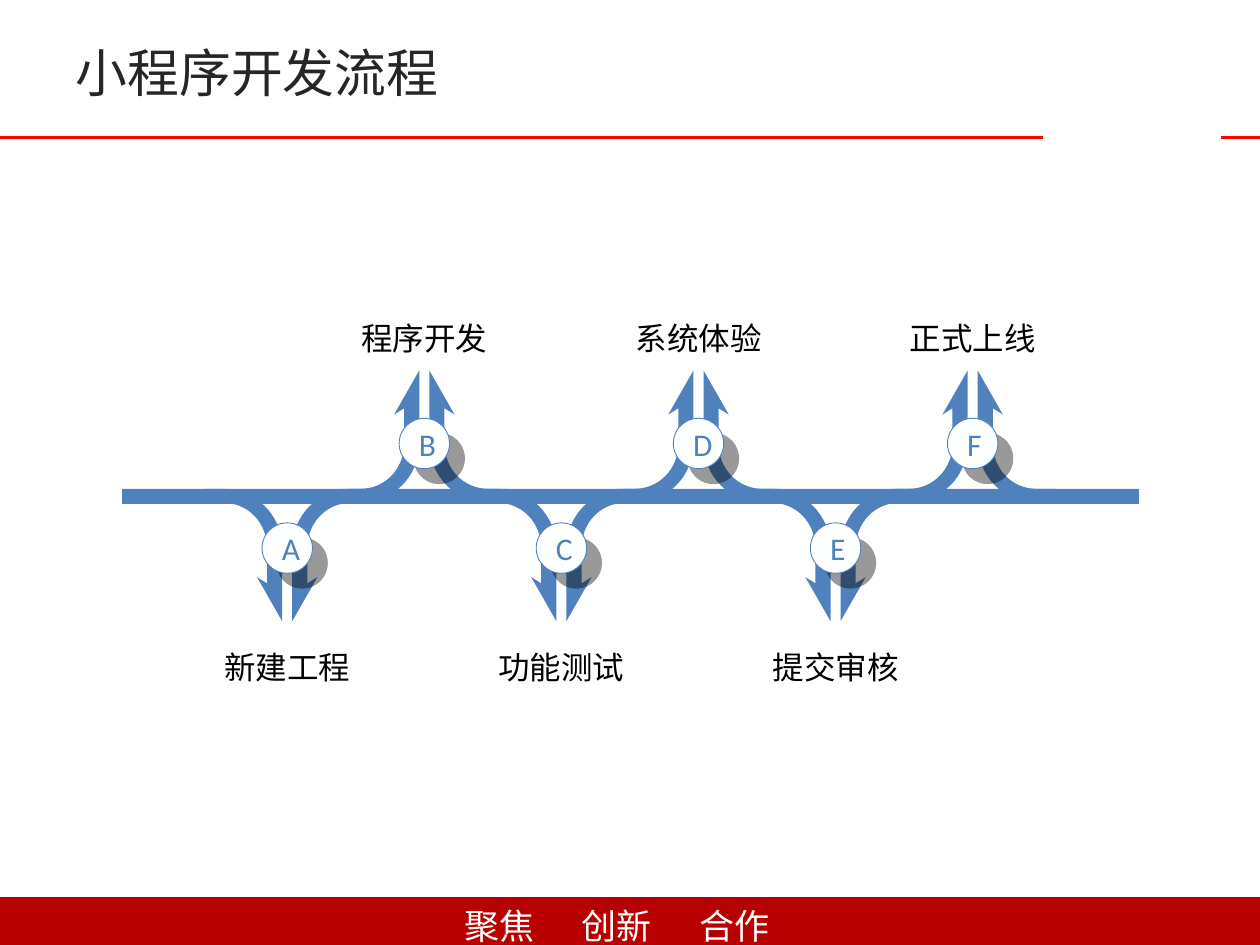
from dataclasses import dataclass

from lxml.etree import SubElement
from pptx import Presentation
from pptx.dml.color import RGBColor
from pptx.enum.shapes import MSO_CONNECTOR, MSO_SHAPE
from pptx.enum.text import MSO_ANCHOR, MSO_AUTO_SIZE, PP_ALIGN
from pptx.oxml.ns import qn
from pptx.util import Inches, Pt


@dataclass(frozen=True)
class Theme:
    blue: RGBColor = RGBColor(0x4F, 0x81, 0xBD)
    circle: RGBColor = RGBColor(0xFE, 0xFF, 0xFF)
    rule: RGBColor = RGBColor(0xFF, 0x00, 0x00)
    footer: RGBColor = RGBColor(0xB8, 0x00, 0x00)
    title: RGBColor = RGBColor(0x26, 0x26, 0x26)
    black: RGBColor = RGBColor(0x00, 0x00, 0x00)
    white: RGBColor = RGBColor(0xFF, 0xFF, 0xFF)
    chinese_font: str = "Noto Sans CJK SC"
    letter_font: str = "Calibri"
    label_font: str = "Arial"
    title_size: float = 29.6
    footer_size: float = 20
    step_size: float = 18


THEME = Theme()
STEPS = ["新建工程", "程序开发", "功能测试", "系统体验", "提交审核", "正式上线"]
FIRST_CENTER, LAST_CENTER = 2.28, 7.72
STEP_GAP = (LAST_CENTER - FIRST_CENTER) / (len(STEPS) - 1)
UP_TIP, DOWN_TIP = 2.94, 4.93
CIRCLE_SIZE = 0.4
LABEL_WIDTH, LABEL_HEIGHT = 1.98, 1.1


def box(left, top, width, height):
    return Inches(left), Inches(top), Inches(width), Inches(height)


def write_text(shape, text, font_name, size, color, align=PP_ALIGN.LEFT,
               anchor=MSO_ANCHOR.TOP, spacing=None, tabs=()):
    frame = shape.text_frame
    frame.word_wrap = True
    frame.auto_size = MSO_AUTO_SIZE.NONE
    frame.vertical_anchor = anchor
    frame.text = text
    paragraph = frame.paragraphs[0]
    paragraph.alignment = align
    if spacing:
        paragraph.line_spacing = spacing
    if tabs:
        tab_list = SubElement(paragraph._p.get_or_add_pPr(), qn("a:tabLst"))
        for position in tabs:
            SubElement(tab_list, qn("a:tab"), pos=str(Inches(position)), algn="l")
    for run in paragraph.runs:
        run.font.name = font_name
        run.font.size = Pt(size)
        run.font.color.rgb = color
        SubElement(run._r.get_or_add_rPr(), qn("a:ea"), typeface=font_name)


def fill_plain(shape, color):
    shape.shadow.inherit = False
    shape.fill.solid()
    shape.fill.fore_color.rgb = color
    shape.line.fill.background()


def add_bar(slide, left, top, width, height, color):
    bar = slide.shapes.add_shape(MSO_SHAPE.RECTANGLE, *box(left, top, width, height))
    fill_plain(bar, color)


def add_rule(slide, start, end):
    rule = slide.shapes.add_connector(
        MSO_CONNECTOR.STRAIGHT, Inches(start), Inches(1.09), Inches(end), Inches(1.09))
    rule.line.color.rgb = THEME.rule
    rule.line.width = Pt(1.5)
    SubElement(rule._element.spPr, qn("a:effectLst"))


def curve_points(start, first, second, end, count=16):
    points = []
    for index in range(count + 1):
        t = index / count
        weights = ((1 - t) ** 3, 3 * t * (1 - t) ** 2, 3 * t * t * (1 - t), t ** 3)
        points.append(tuple(
            sum(weight * value for weight, value in zip(weights, values))
            for values in zip(start, first, second, end)))
    return points


def arrow_half():
    inner = curve_points((0.16, 0.58), (0.16, 0.78), (0.31, 0.94), (0.51, 0.94))
    outer = curve_points((0.51, 1.05), (0.25, 1.05), (0.04, 0.84), (0.04, 0.58))
    return [(0.04, 0), (0.24, 0.35), (0.16, 0.3), *inner,
            (0.65, 0.94), (0.65, 1.05), *outer]


def add_split_arrow(slide, center, tip, direction):
    right, left = (
        [(Inches(center + side * x), Inches(tip + direction * y)) for x, y in arrow_half()]
        for side in (1, -1))
    builder = slide.shapes.build_freeform(*right[0])
    builder.add_line_segments(right[1:], close=True)
    builder.move_to(*left[0])
    builder.add_line_segments(left[1:], close=True)
    fill_plain(builder.convert_to_shape(), THEME.blue)


def add_circle(slide, center, top, letter):
    circle = slide.shapes.add_shape(
        MSO_SHAPE.OVAL, *box(center - CIRCLE_SIZE / 2, top, CIRCLE_SIZE, CIRCLE_SIZE))
    fill_plain(circle, THEME.circle)
    circle.line.color.rgb = THEME.blue
    circle.line.width = Pt(0.5)
    effects = circle._element.spPr.find(qn("a:effectLst"))
    shadow = SubElement(effects, qn("a:outerShdw"), blurRad="0", dist=str(Pt(12.1)),
                        dir="2700000", algn="ctr", rotWithShape="0")
    color = SubElement(shadow, qn("a:srgbClr"), val=str(THEME.black))
    SubElement(color, qn("a:alpha"), val="40000")
    write_text(circle, letter, THEME.letter_font, THEME.step_size, THEME.blue,
               PP_ALIGN.CENTER, MSO_ANCHOR.MIDDLE)


def add_label(slide, center, top, text, anchor):
    label = slide.shapes.add_textbox(
        *box(center - LABEL_WIDTH / 2, top, LABEL_WIDTH, LABEL_HEIGHT))
    write_text(label, text, THEME.label_font, THEME.step_size, THEME.black,
               PP_ALIGN.CENTER, anchor, 1.5)


def add_frame(slide):
    add_rule(slide, 9.69, 10)
    add_rule(slide, 0, 8.28)
    add_bar(slide, 0, 7.12, 10, 0.39, THEME.footer)
    motto = slide.shapes.add_textbox(*box(3.59, 7.13, 3.05, 0.44))
    write_text(motto, "聚焦\t创新\t合作", THEME.chinese_font, THEME.footer_size,
               THEME.white, tabs=(0.93, 1.86))


def add_title(slide, text):
    title = slide.shapes.title
    title.left, title.top, title.width, title.height = box(0.5, 0.3, 7.26, 0.61)
    write_text(title, text, THEME.chinese_font, THEME.title_size, THEME.title,
               anchor=MSO_ANCHOR.MIDDLE, spacing=0.9)


def add_process(slide):
    add_bar(slide, 0.97, 3.88, 8.07, 0.12, THEME.blue)
    centers = [FIRST_CENTER + index * STEP_GAP for index in range(len(STEPS))]
    for index, center in enumerate(centers):
        tip, direction = (UP_TIP, 1) if index % 2 else (DOWN_TIP, -1)
        add_split_arrow(slide, center, tip, direction)
    for index, (center, text) in enumerate(zip(centers, STEPS)):
        upward = index % 2
        add_circle(slide, center, 3.32 if upward else 4.15, "ABCDEF"[index])
        add_label(slide, center, 1.78 if upward else 4.94, text,
                  MSO_ANCHOR.BOTTOM if upward else MSO_ANCHOR.TOP)


def main():
    presentation = Presentation()
    presentation.slide_width = Inches(10)
    presentation.slide_height = Inches(7.5)
    slide = presentation.slides.add_slide(presentation.slide_layouts[5])
    add_frame(slide)
    add_title(slide, "小程序开发流程")
    add_process(slide)
    presentation.save("out.pptx")


if __name__ == "__main__":
    main()
